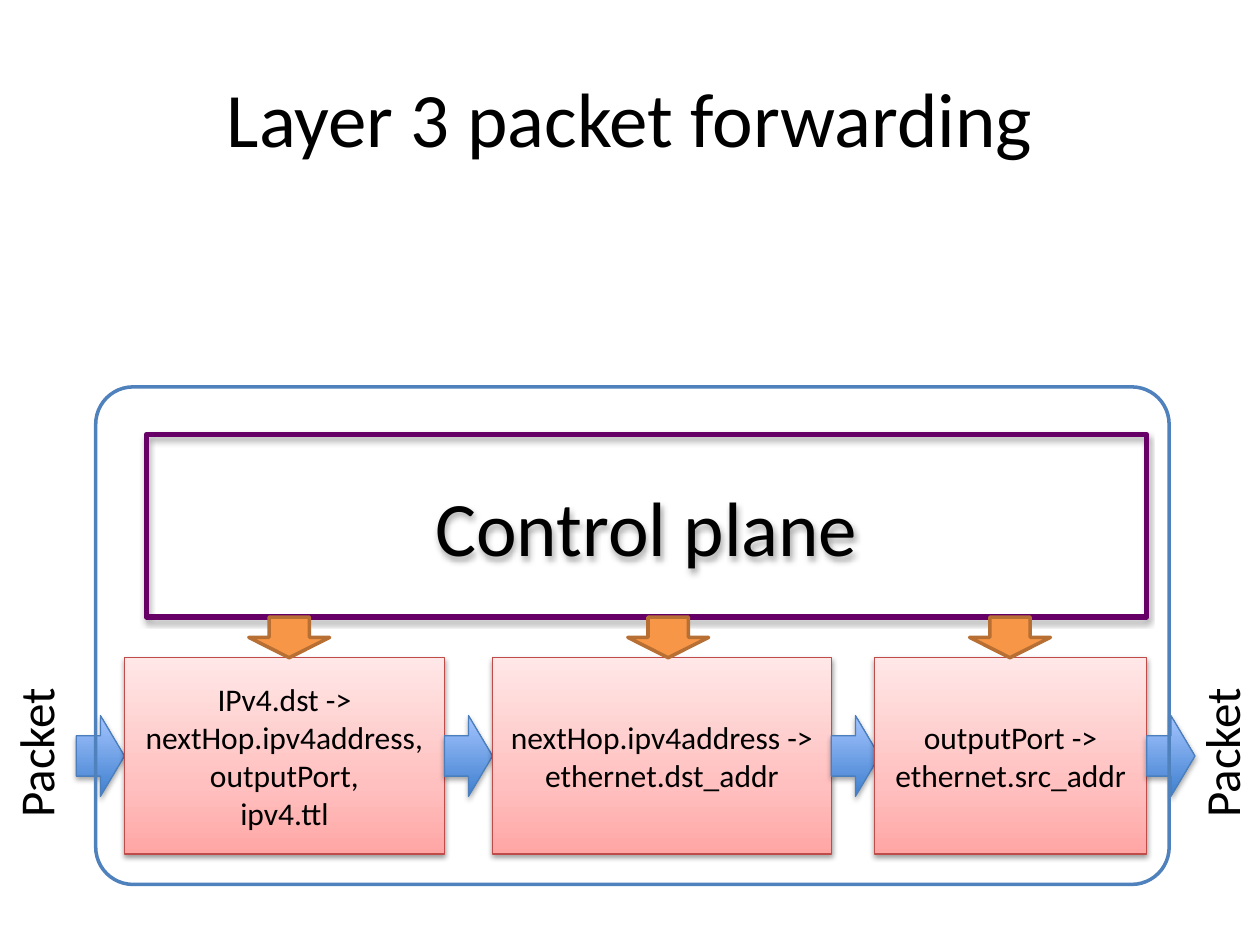
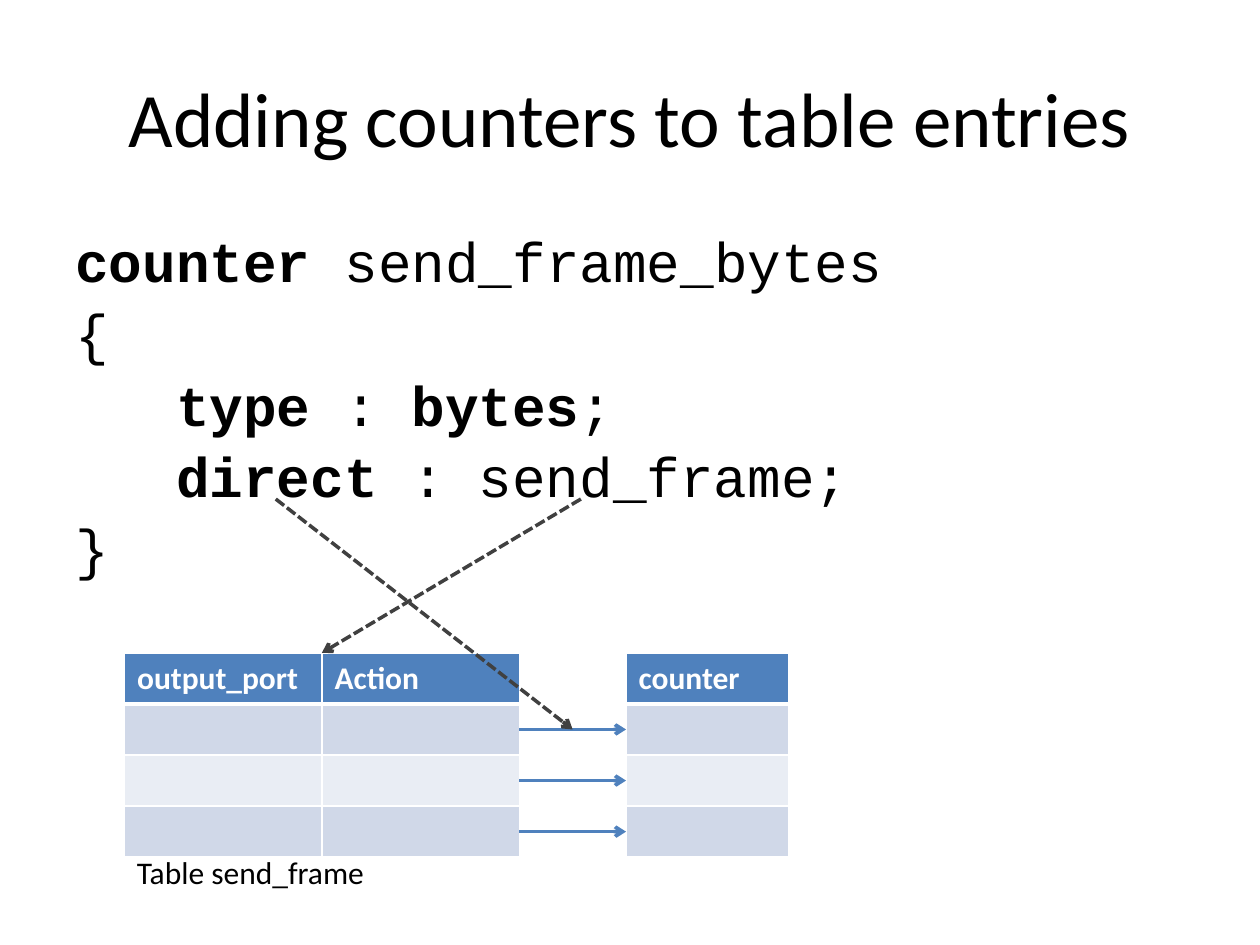
from pptx import Presentation, oxml
from pptx import util as u
from pptx.dml import color
from pptx.enum import dml, shapes, text
from pptx.oxml import ns

BLACK, WHITE = "000000", "FFFFFF"
BLUE, GREY = "4F81BD", "404040"
PURPLE, ORANGE, BROWN = "660066", "F79646", "B76F34"
BANDS = ["D0D8E8", "E9EDF4"]
PINKS = [(0, "FFA6A5"), (35, "FFC0BF"), (100, "FFE7E7")]
BLUES = [(0, "3F80CE"), (100, "A4C4FF")]
SHAPE = shapes.MSO_SHAPE
CENTER = text.PP_ALIGN.CENTER
MIDDLE = text.MSO_ANCHOR.MIDDLE


def rgb(code):
    return color.RGBColor.from_string(code)


def xml(source):
    return oxml.parse_xml(f"<a:wrap {ns.nsdecls('a')}>{source}</a:wrap>")[0]


def solid(code):
    return f'<a:solidFill><a:srgbClr val="{code}"/></a:solidFill>'


def write(frame, words, size=18, font="Calibri", ink=BLACK, bold=False,
          align=None, anchor=None, wrap=True):
    """Fill a frame, one paragraph a line; text between asterisks turns bold."""
    frame.word_wrap = wrap
    if anchor is not None:
        frame.vertical_anchor = anchor
    for i, line in enumerate(words.split("\n")):
        para = frame.paragraphs[0] if i == 0 else frame.add_paragraph()
        para.alignment = align
        for j, part in enumerate(line.split("*")):
            if part:
                run = para.add_run()
                run.text = part
                run.font.size, run.font.name = u.Pt(size), font
                run.font.bold = bold or j % 2 == 1
                run.font.color.rgb = rgb(ink)
    return frame


def label(slide, box, words, turn=0, **form):
    item = slide.shapes.add_textbox(*map(u.Cm, box))
    item.rotation = turn
    return write(item.text_frame, words, **form)


def block(slide, kind, box, line, width, fill=None, shade=0, dist=1.8, turn=0):
    """Add a shape; fill is a colour, a list of gradient stops or nothing."""
    item = slide.shapes.add_shape(kind, *map(u.Cm, box))
    item.rotation = turn
    item.line.color.rgb, item.line.width = rgb(line), u.Pt(width)
    props = item.element.spPr
    if isinstance(fill, str):
        item.fill.solid()
        item.fill.fore_color.rgb = rgb(fill)
    else:
        item.fill.background()
    if isinstance(fill, list):
        stops = "".join(f'<a:gs pos="{at * 1000}"><a:srgbClr val="{code}"/></a:gs>'
                        for at, code in fill)
        props.replace(props.find(ns.qn("a:noFill")), xml(
            f'<a:gradFill rotWithShape="1"><a:gsLst>{stops}</a:gsLst>'
            '<a:lin ang="16200000" scaled="0"/></a:gradFill>'))
    item.shadow.inherit = False
    if shade:
        props.find(ns.qn("a:effectLst")).append(xml(
            f'<a:outerShdw blurRad="{u.Pt(3.1)}" dist="{u.Pt(dist)}" dir="5400000"'
            ' rotWithShape="0"><a:srgbClr val="000000">'
            f'<a:alpha val="{shade * 1000}"/></a:srgbClr></a:outerShdw>'))
    return item


def arrow(slide, start, end, ink, dash=None):
    item = slide.shapes.add_connector(
        shapes.MSO_CONNECTOR.STRAIGHT, *map(u.Cm, start + end))
    item.line.color.rgb, item.line.width = rgb(ink), u.Pt(2)
    if dash:
        item.line.dash_style = dash
    props = item.element.spPr
    props.find(ns.qn("a:ln")).append(xml('<a:tailEnd type="arrow"/>'))
    props.append(xml("<a:effectLst/>"))


def title(slide, words, left):
    label(slide, (left, 0.76, 25.4 - 2 * left, 3.18), words, size=44,
          align=CENTER, anchor=MIDDLE)


# Slide 1: pipeline inside the router
def router(slide, x, y, wide, high):
    length, thick = 0.97, 1.63
    top, tall = y + 5.46, 3.96
    ctrl = (x + 1.02, y + 0.96, 20.17, 3.68)
    base = ctrl[1] + ctrl[3]

    def flow(left):
        block(slide, SHAPE.RIGHT_ARROW,
              (left, top + (tall - thick) / 2, length, thick),
              "4B7EBC", 0.75, BLUES, shade=35)

    # Match stages, each followed by a flow arrow
    stages = [
        (0.58, 6.45, "IPv4.dst ->\nnextHop.ipv4address,\noutputPort,\nipv4.ttl"),
        (8.0, 6.83, "nextHop.ipv4address ->\nethernet.dst_addr"),
        (15.7, 5.49, "outputPort ->\nethernet.src_addr"),
    ]
    flow(x + stages[0][0] - length)
    for dx, size, words in stages:
        item = block(slide, SHAPE.RECTANGLE, (x + dx, top, size, tall),
                     "BF4C48", 0.75, PINKS, shade=38, dist=1.6)
        write(item.text_frame, words, align=CENTER, anchor=MIDDLE)
        flow(x + dx + size)

    # Packets entering and leaving
    for dx in (-2.82, 21.08):
        label(slide, (x + dx, y + 6.6, 3.2, 1.45), "Packet", turn=270, size=28,
              wrap=False)

    # Outline and control plane
    frame = block(slide, SHAPE.ROUNDED_RECTANGLE, (x, y, wide, high), BLUE, 2)
    frame.adjustments[0] = 0.075
    plane = block(slide, SHAPE.RECTANGLE, ctrl, PURPLE, 3, shade=35)
    write(plane.text_frame, "Control plane", size=44, align=CENTER, anchor=MIDDLE)

    # Arrows from the control plane down to the stages
    drop = top - base
    for dx in (3.9, 11.54, 18.43):
        block(slide, SHAPE.RIGHT_ARROW,
              (x + dx - drop / 2, (base + top - thick) / 2, drop, thick),
              BROWN, 2, ORANGE, turn=90)


# Slide 2: code and tables
def code(slide, box):
    frame = label(slide, box, "*counter* send_frame_bytes\n{\n*type* : *bytes*;\n"
                  "*direct* : send_frame;\n}", size=32, font="Courier New")
    for i, para in enumerate(frame.paragraphs):
        para.space_before = u.Pt(2.5 if i else 6.4)
        if i in (2, 3):
            para._p.get_or_add_pPr().set("marL", str(u.Cm(2.03)))


def grid(slide, x, y, heads, wide, row, count):
    table = slide.shapes.add_table(
        count, len(heads), *map(u.Cm, (x, y, wide * len(heads), row * count))).table
    for col in table.columns:
        col.width = u.Cm(wide)
    for i in range(count):
        table.rows[i].height = u.Cm(row)
        for j, head in enumerate(heads):
            cell = table.cell(i, j)
            cell.fill.solid()
            cell.fill.fore_color.rgb = rgb(BANDS[(i - 1) % 2] if i else BLUE)
            write(cell.text_frame, "" if i else head, ink=WHITE, bold=True)
            for k, side in enumerate("LRTB"):
                thick = (i, side) in ((0, "B"), (1, "T"))
                cell._tc.get_or_add_tcPr().insert(k, xml(
                    f'<a:ln{side} w="{u.Pt(3 if thick else 1)}">'
                    f'{solid(WHITE)}</a:ln{side}>'))


def lookup(slide, x, y):
    wide, row, count, gap = 3.98, 1.03, 4, 2.15
    edge = x + 2 * wide
    grid(slide, x, y, ["output_port", "Action"], wide, row, count)
    grid(slide, edge + gap, y, ["counter"], 3.28, row, count)

    # Links from entries to counters
    mids = [y + row * (i + 0.5) for i in range(1, count)]
    for mid in mids:
        arrow(slide, (edge, mid), (edge + gap, mid), BLUE)

    # Pointers from the code to the table and its links
    dash = dml.MSO_LINE.SQUARE_DOT
    arrow(slide, (x + 9.2, y - 3.1), (x + wide, y), GREY, dash)
    arrow(slide, (x + 3.05, y - 3.1), (edge + gap / 2, mids[0]), GREY, dash)
    label(slide, (x, y + 3.91, 5.21, 1.02), "Table send_frame", wrap=False)


def main():
    deck = Presentation()
    deck.slide_width, deck.slide_height = u.Cm(25.4), u.Cm(19.05)
    first, second = (deck.slides.add_slide(deck.slide_layouts[6]) for _ in range(2))

    title(first, "Layer 3 packet forwarding", 0.64)
    router(first, 1.93, 7.8, 21.64, 10.03)

    title(second, "Adding counters to table entries", 1.27)
    code(second, (1.27, 4.45, 22.86, 12.57))
    lookup(second, 2.51, 13.16)
    deck.save("out.pptx")


if __name__ == "__main__":
    main()
